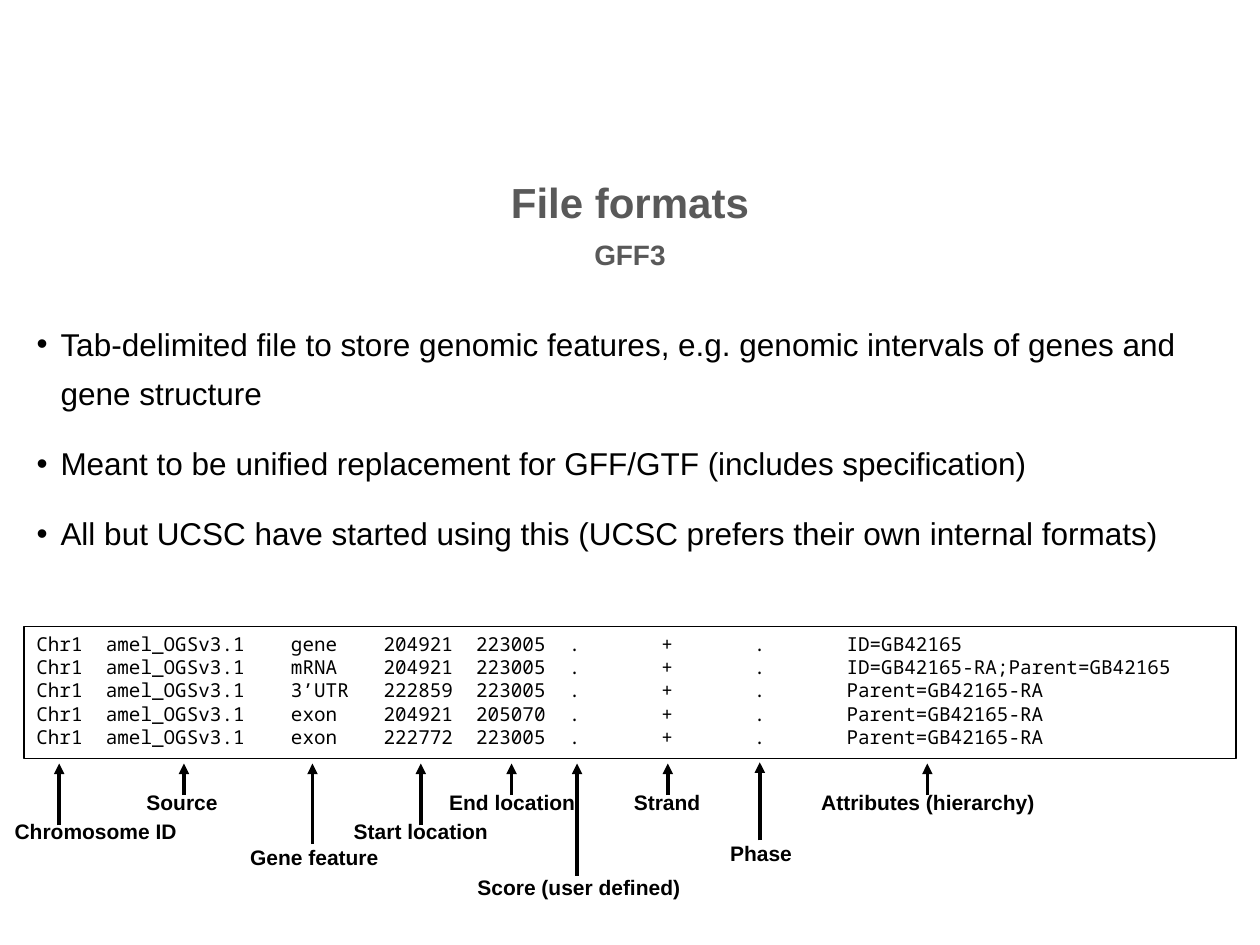
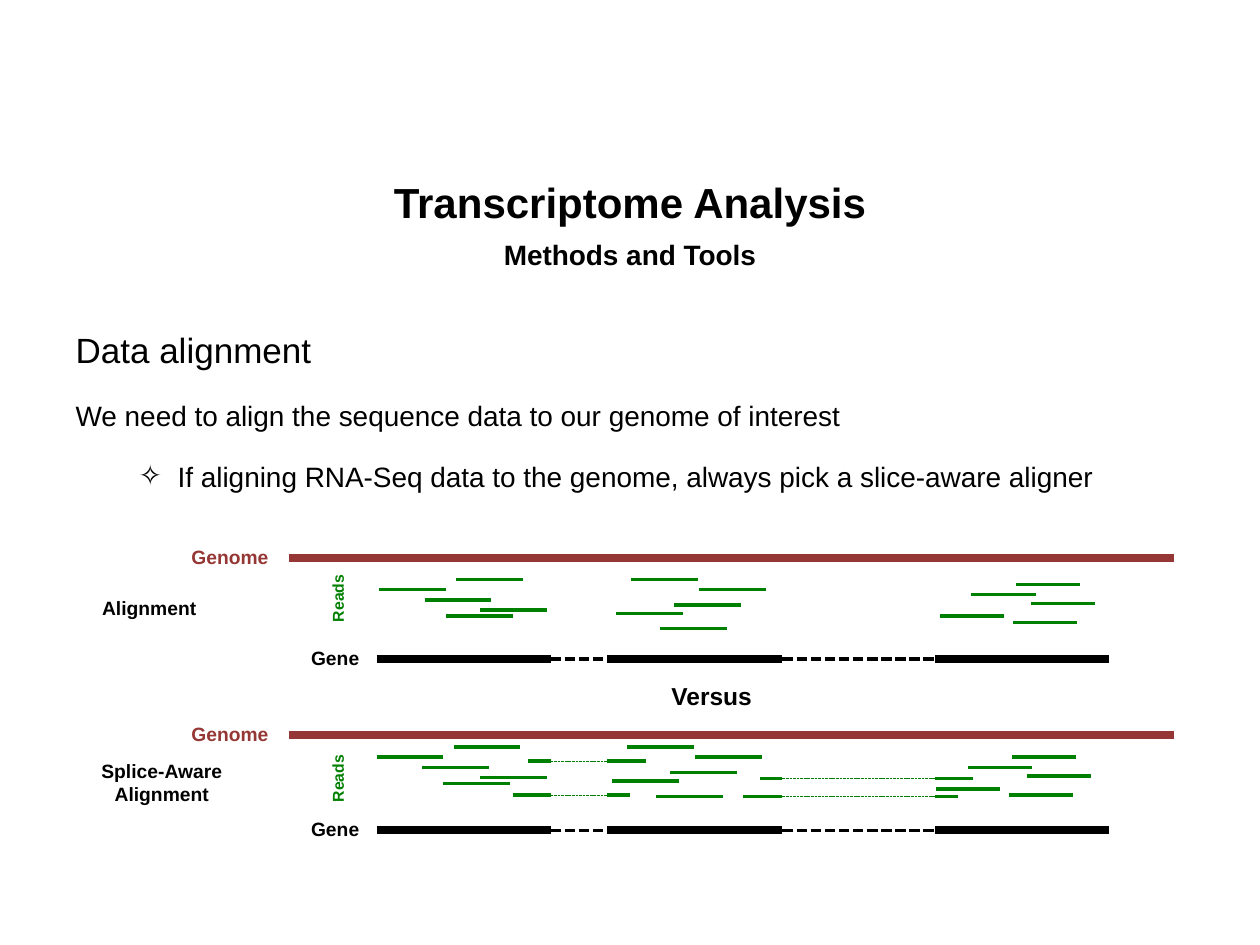
from dataclasses import dataclass
from itertools import pairwise

from lxml import etree
from pptx import Presentation
from pptx.dml.color import RGBColor
from pptx.enum.dml import MSO_LINE
from pptx.enum.shapes import MSO_CONNECTOR, MSO_SHAPE
from pptx.enum.text import MSO_ANCHOR, MSO_AUTO_SIZE, PP_ALIGN
from pptx.oxml.ns import qn
from pptx.util import Emu, Pt

STRAIGHT = MSO_CONNECTOR.STRAIGHT
RECTANGLE = MSO_SHAPE.RECTANGLE
SYSTEM_DASH = MSO_LINE.SQUARE_DOT
LEFT, CENTER = PP_ALIGN.LEFT, PP_ALIGN.CENTER
TOP, MIDDLE = MSO_ANCHOR.TOP, MSO_ANCHOR.MIDDLE
NO_FIT, GROW = MSO_AUTO_SIZE.NONE, MSO_AUTO_SIZE.SHAPE_TO_FIT_TEXT

EMU_PER_PX = 9144
FONT, CODE_FONT = "Arial", "Noto Sans Mono"
BLACK, GRAY, BROWN, GREEN = "000000", "595959", "953735", "008000"


@dataclass(frozen=True)
class Callout:
    text: str
    left: int
    top: int
    width: int
    arrow_x: int
    arrow_start: int
    arrow_tip: int = 606


@dataclass(frozen=True)
class ListItem:
    text: str
    size: int
    bullet: str = ""
    level: int = 0
    margin: int = 0
    hanging: int = 0


@dataclass(frozen=True)
class ReadCluster:
    length: int
    shift_x: int
    shift_y: int
    starts: tuple[tuple[int, int], ...]


@dataclass(frozen=True)
class SplitRead:
    intron: int
    start: int
    end: int
    y: int


@dataclass(frozen=True)
class Panel:
    method: str
    method_top: int
    method_width: int
    method_height: int
    genome_y: int
    reads_top: int
    gene_y: int


CALLOUTS = (
    Callout("Chromosome ID", 1, 645, 150, 47, 655),
    Callout("Source", 106, 622, 77, 146, 631),
    Callout("Gene feature", 188, 665, 123, 248, 670),
    Callout("Start location", 270, 645, 128, 334, 655),
    Callout("End location", 346, 622, 121, 406, 631),
    Callout("Score (user defined)", 368, 689, 183, 458, 695),
    Callout("Strand", 493, 622, 73, 530, 631),
    Callout("Phase", 569, 662, 70, 603, 667, 605),
    Callout("Attributes (hierarchy)", 640, 622, 193, 736, 631),
)

FEATURES = (
    ("gene", 204921, 223005, "ID=GB42165"),
    ("mRNA", 204921, 223005, "ID=GB42165-RA;Parent=GB42165"),
    ("3’UTR", 222859, 223005, "Parent=GB42165-RA"),
    ("exon", 204921, 205070, "Parent=GB42165-RA"),
    ("exon", 222772, 223005, "Parent=GB42165-RA"),
)

EXONS = ((299, 437), (482, 621), (742, 880))
INTRONS = tuple((left[1], right[0]) for left, right in pairwise(EXONS))

READ_CLUSTERS = (
    ReadCluster(53, -2, 133, ((301, 468), (337, 476), (354, 489), (362, 460))),
    ReadCluster(53, 0, 133, ((381, 484),)),
    ReadCluster(53, -3, 133, ((555, 468), (535, 480), (489, 487), (524, 499), (501, 460))),
    ReadCluster(51, -3, 137, ((746, 489), (771, 472), (818, 479), (806, 464), (804, 494))),
)

SPLIT_READS = (
    SplitRead(0, 419, 513, 604),
    SplitRead(0, 407, 500, 631),
    SplitRead(1, 603, 772, 618),
    SplitRead(1, 590, 760, 632),
)

PLAIN_PANEL = Panel("Alignment", 468, 97, 29, 443, 462, 523)
SPLICE_PANEL = Panel("Splice-Aware\nAlignment", 598, 117, 47, 583, 605, 659)


def px(length: int) -> Emu:
    return Emu(length * EMU_PER_PX)


def color(value: str) -> RGBColor:
    return RGBColor.from_string(value)


def style(paragraph, size, tint=BLACK, bold=False, align=LEFT, name=FONT) -> None:
    paragraph.alignment = align
    font = paragraph.font
    font.name, font.size, font.bold = name, Pt(size), bold
    font.color.rgb = color(tint)


def place(shape, left: int, top: int, width: int, height: int) -> None:
    shape.left, shape.top = px(left), px(top)
    shape.width, shape.height = px(width), px(height)


def add_titled_slide(presentation, title: str, subtitle: str, tint: str):
    slide = presentation.slides.add_slide(presentation.slide_layouts[1])
    place(slide.shapes.title, 50, 142, 900, 59)
    frame = slide.shapes.title.text_frame
    frame.text = f"{title}\n{subtitle}"
    frame.auto_size, frame.vertical_anchor = NO_FIT, MIDDLE
    for paragraph, size in zip(frame.paragraphs, (24, 16)):
        paragraph.line_spacing = 1.3
        paragraph.space_before = Pt(0)
        style(paragraph, size, tint, True, CENTER)
    return slide


def fill_body(slide, box, items, line_spacing: float, before: int, after: int) -> None:
    body = slide.placeholders[1]
    place(body, *box)
    frame = body.text_frame
    frame.text = "\n".join(item.text for item in items)
    frame.auto_size, frame.vertical_anchor = NO_FIT, TOP
    for index, (paragraph, item) in enumerate(zip(frame.paragraphs, items)):
        paragraph.level = item.level
        properties = paragraph._p.get_or_add_pPr()
        properties.set("marL", str(px(item.margin)))
        properties.set("indent", str(px(-item.hanging)))
        if item.bullet:
            etree.SubElement(properties, qn("a:buChar")).set("char", item.bullet)
        else:
            etree.SubElement(properties, qn("a:buNone"))
        paragraph.line_spacing = line_spacing
        paragraph.space_before = Pt(before if index else 0)
        paragraph.space_after = Pt(after)
        style(paragraph, item.size)


def add_label(slide, text, left, top, width, height, size, tint=BLACK, align=LEFT):
    shape = slide.shapes.add_textbox(px(left), px(top), px(width), px(height))
    frame = shape.text_frame
    frame.text = text
    frame.word_wrap, frame.auto_size = False, GROW
    for paragraph in frame.paragraphs:
        style(paragraph, size, tint, True, align)
    return shape


def add_line(slide, start, end, tint, width, dashed=False, arrow=False) -> None:
    connector = slide.shapes.add_connector(STRAIGHT, *map(px, (*start, *end)))
    connector.line.color.rgb = color(tint)
    connector.line.width = Pt(width)
    if dashed:
        connector.line.dash_style = SYSTEM_DASH
    properties = connector._element.spPr
    if arrow:
        outline = properties.find(qn("a:ln"))
        etree.SubElement(outline, qn("a:tailEnd")).set("type", "triangle")
    etree.SubElement(properties, qn("a:effectLst"))


def add_level_line(slide, left, right, y, tint, width, dashed=False) -> None:
    add_line(slide, (left, y), (right, y), tint, width, dashed)


def add_gff_box(slide) -> None:
    shape = slide.shapes.add_shape(RECTANGLE, px(19), px(497), px(962), px(105))
    shape.shadow.inherit = False
    shape.fill.background()
    shape.line.color.rgb = color(BLACK)
    shape.line.width = Pt(0.75)
    frame = shape.text_frame
    frame.word_wrap, frame.vertical_anchor = True, TOP
    frame.text = "\n".join(
        f"{'Chr1':<6}{'amel_OGSv3.1':<16}{feature:<8}{start:<8}{end:<8}"
        f"{'.':<8}{'+':<8}{'.':<8}{attributes}"
        for feature, start, end, attributes in FEATURES
    )
    for paragraph in frame.paragraphs:
        style(paragraph, 11, name=CODE_FONT)


def add_panel(slide, panel: Panel) -> None:
    add_level_line(slide, 229, 932, panel.genome_y, BROWN, 4.5)
    for left, right in EXONS:
        add_level_line(slide, left, right, panel.gene_y, BLACK, 4.5)
    for left, right in INTRONS:
        add_level_line(slide, left, right, panel.gene_y, BLACK, 2, dashed=True)
    add_label(slide, "Genome", 142, panel.genome_y - 15, 82, 29, 11, BROWN)
    add_label(slide, "Gene", 237, panel.gene_y - 15, 59, 29, 11)
    add_label(slide, "Reads", 239, panel.reads_top, 58, 25, 9, GREEN).rotation = 270
    add_label(slide, panel.method, 70, panel.method_top, panel.method_width,
              panel.method_height, 11, align=CENTER)


def add_reads(slide, shifted: bool) -> None:
    for cluster in READ_CLUSTERS:
        shift_x, shift_y = (cluster.shift_x, cluster.shift_y) if shifted else (0, 0)
        for x, y in cluster.starts:
            left = x + shift_x
            add_level_line(slide, left, left + cluster.length, y + shift_y, GREEN, 2)


def add_split_read(slide, read: SplitRead) -> None:
    left, right = INTRONS[read.intron]
    add_level_line(slide, read.start, left, read.y, GREEN, 2)
    add_level_line(slide, right, read.end, read.y, GREEN, 2)
    add_level_line(slide, left, right, read.y, GREEN, 0.5, dashed=True)


def build_file_formats(presentation) -> None:
    slide = add_titled_slide(presentation, "File formats", "GFF3", GRAY)
    points = (
        "Tab-delimited file to store genomic features, e.g. genomic intervals of genes and gene structure",
        "Meant to be unified replacement for GFF/GTF (includes specification)",
        "All but UCSC have started using this (UCSC prefers their own internal formats)",
    )
    items = [ListItem(point, 18, "•", margin=19, hanging=19) for point in points]
    fill_body(slide, (19, 244, 948, 219), items, 1.3, 0, 12)
    add_gff_box(slide)
    for callout in CALLOUTS:
        add_label(slide, callout.text, callout.left, callout.top, callout.width, 30, 12,
                  align=CENTER)
        add_line(slide, (callout.arrow_x, callout.arrow_start),
                 (callout.arrow_x, callout.arrow_tip), BLACK, 2, arrow=True)


def build_transcriptome(presentation) -> None:
    slide = add_titled_slide(presentation, "Transcriptome Analysis", "Methods and Tools", BLACK)
    items = (
        ListItem("Data alignment", 20),
        ListItem("We need to align the sequence data to our genome of interest", 16),
        ListItem("If aligning RNA-Seq data to the genome, always pick a slice-aware aligner",
                 16, "✧", level=1, margin=81, hanging=31),
    )
    fill_body(slide, (50, 249, 900, 148), items, 1.2, 6, 6)
    add_panel(slide, PLAIN_PANEL)
    add_reads(slide, shifted=False)
    add_label(slide, "Versus", 523, 536, 85, 34, 14)
    add_panel(slide, SPLICE_PANEL)
    add_reads(slide, shifted=True)
    for read in SPLIT_READS:
        add_split_read(slide, read)


def main() -> None:
    presentation = Presentation()
    presentation.slide_width, presentation.slide_height = px(1000), px(750)
    build_file_formats(presentation)
    build_transcriptome(presentation)
    presentation.save("out.pptx")


if __name__ == "__main__":
    main()
